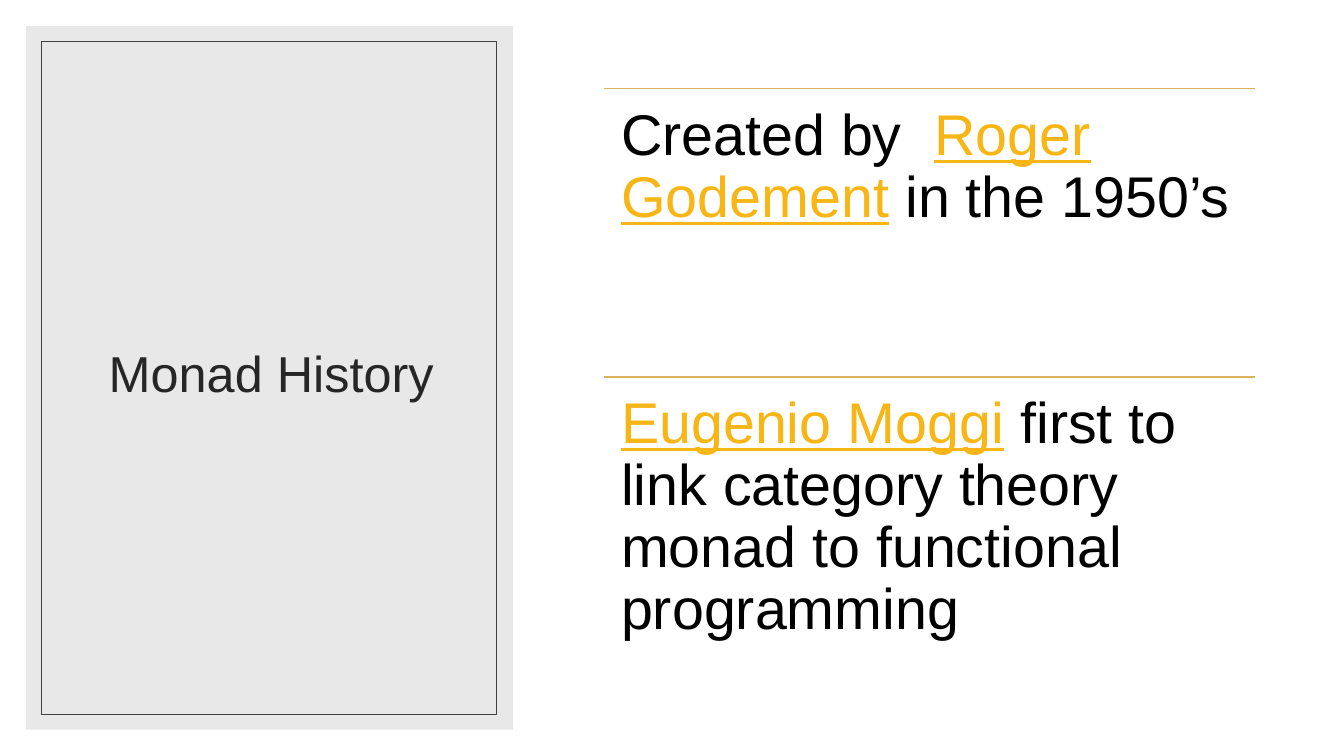
from dataclasses import dataclass

from lxml import etree
from pptx import Presentation
from pptx.dml.color import RGBColor
from pptx.enum import shapes, text
from pptx.oxml import ns
from pptx.util import Inches, Pt


@dataclass(frozen=True)
class Theme:
    font: str = "Arial"
    back: str = "FFFFFF"
    panel: str = "D9D9D9"
    frame: str = "404040"
    title: str = "262626"
    body: str = "000000"
    link: str = "F7B615"
    rule: str = "D8B25C"
    head_size: int = 36
    body_size: int = 41
    spacing: float = 0.9
    alpha: int = 60


@dataclass(frozen=True)
class Box:
    left: float
    top: float
    width: float
    height: float

    def emu(self) -> list[int]:
        return [Inches(n) for n in (self.left, self.top, self.width, self.height)]


@dataclass(frozen=True)
class Span:
    words: str
    link: bool = False


THEME = Theme()
PANEL = Box(0.26, 0.26, 4.83, 6.98)
FRAME = Box(0.41, 0.41, 4.51, 6.68)
TITLE = Box(0.63, 0.61, 4.12, 6.24)
FACT = Box(5.99, 0.88, 6.46, 2.86)
INSET = 0.17

FACTS = [
    [Span("Created by  "), Span("Roger Godement", True), Span(" in the 1950’s")],
    [
        Span("Eugenio Moggi", True),
        Span(" first to link category theory monad to functional programming"),
    ],
]


def color(code: str) -> RGBColor:
    return RGBColor.from_string(code)


def add_rect(slide, box: Box):
    rect = slide.shapes.add_shape(shapes.MSO_SHAPE.RECTANGLE, *box.emu())
    rect.shadow.inherit = False
    return rect


def add_panel(slide) -> None:
    panel = add_rect(slide, PANEL)
    panel.fill.solid()
    panel.fill.fore_color.rgb = color(THEME.panel)
    panel.line.fill.background()
    tint = panel.fill._xPr.find(".//" + ns.qn("a:srgbClr"))
    etree.SubElement(tint, ns.qn("a:alpha"), val=str(THEME.alpha * 1000))


def add_frame(slide) -> None:
    frame = add_rect(slide, FRAME)
    frame.fill.background()
    frame.line.color.rgb = color(THEME.frame)
    frame.line.width = Pt(0.5)


def add_text(slide, box: Box, size: int):
    """Add a wrapping text box and return its frame and first paragraph."""
    frame = slide.shapes.add_textbox(*box.emu()).text_frame
    frame.word_wrap = True
    para = frame.paragraphs[0]
    para.line_spacing = THEME.spacing
    para.font.name = THEME.font
    para.font.size = Pt(size)
    return frame, para


def add_title(slide, words: str) -> None:
    frame, para = add_text(slide, TITLE, THEME.head_size)
    frame.vertical_anchor = text.MSO_ANCHOR.MIDDLE
    para.alignment = text.PP_ALIGN.CENTER
    para.font.color.rgb = color(THEME.title)
    para.add_run().text = words


def add_rule(slide, box: Box) -> None:
    left, top, width, _ = box.emu()
    rule = slide.shapes.add_connector(
        shapes.MSO_CONNECTOR.STRAIGHT, left, top, left + width, top
    )
    rule.line.color.rgb = color(THEME.rule)
    rule.line.width = Pt(1)
    etree.SubElement(rule._element.spPr, ns.qn("a:effectLst"))


def add_fact(slide, box: Box, spans: list[Span]) -> None:
    add_rule(slide, box)
    frame, para = add_text(slide, box, THEME.body_size)
    frame.margin_left = frame.margin_right = Inches(INSET)
    frame.margin_top = frame.margin_bottom = Inches(INSET)
    for span in spans:
        run = para.add_run()
        run.text = span.words
        run.font.underline = span.link
        run.font.color.rgb = color(THEME.link if span.link else THEME.body)


def main() -> None:
    deck = Presentation()
    deck.slide_width, deck.slide_height = Inches(13.33), Inches(7.5)
    slide = deck.slides.add_slide(deck.slide_layouts[6])
    slide.background.fill.solid()
    slide.background.fill.fore_color.rgb = color(THEME.back)
    add_panel(slide)
    add_title(slide, "Monad History")
    add_frame(slide)
    for row, spans in enumerate(FACTS):
        top = FACT.top + row * FACT.height
        add_fact(slide, Box(FACT.left, top, FACT.width, FACT.height), spans)
    deck.save("out.pptx")


if __name__ == "__main__":
    main()
